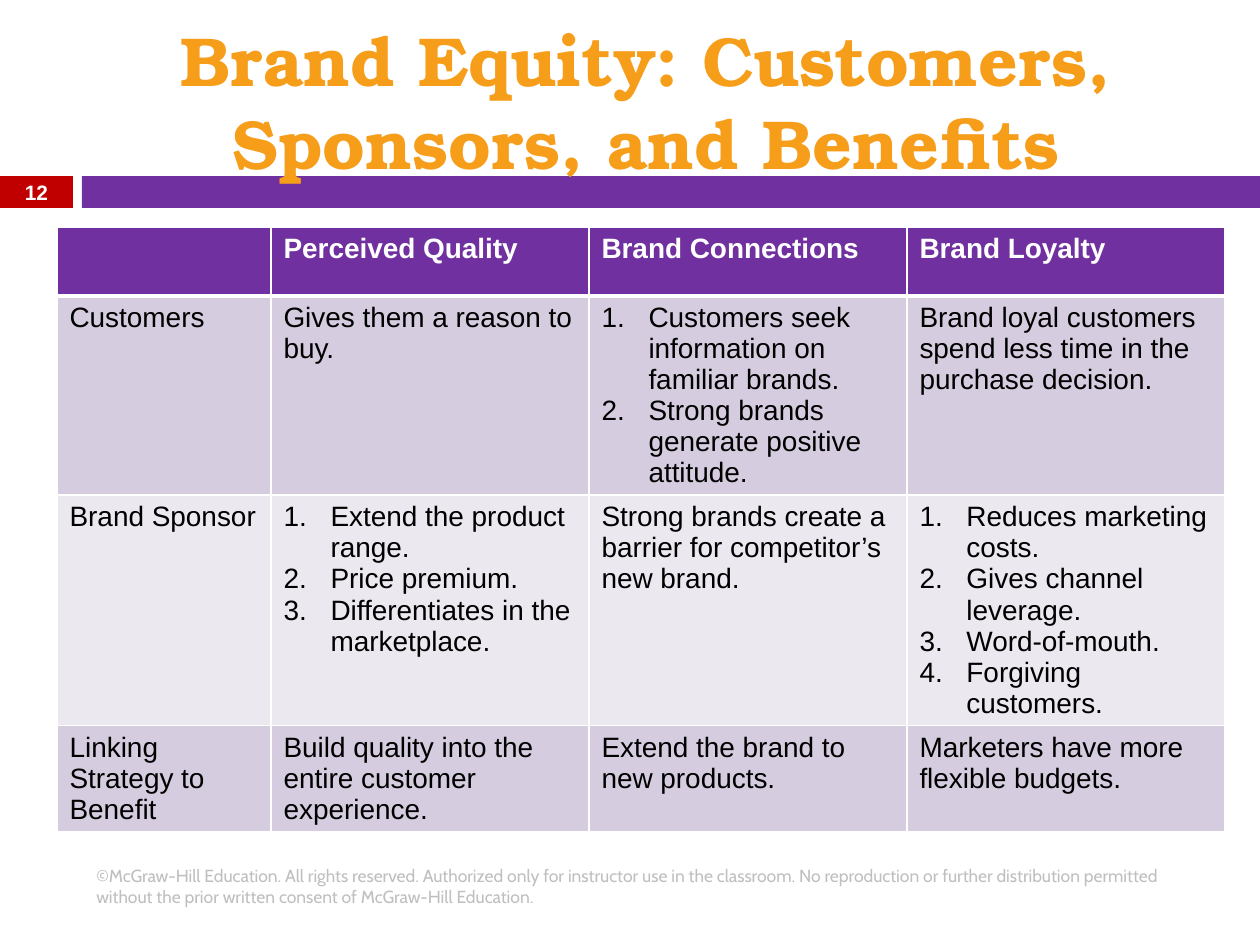
"""Build the brand equity slide: title, number bar, benefit table and footer."""
from dataclasses import dataclass
from typing import Any

import lxml.etree
import pptx
import pptx.dml.color
import pptx.enum.shapes
import pptx.enum.text
import pptx.oxml.ns
import pptx.util

ALIGN = pptx.enum.text.PP_ALIGN
Cell = str | list[str]


@dataclass(frozen=True)
class Font:
    name: str
    size: float
    color: str
    bold: bool = False


@dataclass(frozen=True)
class Theme:
    purple: str = "7030A0"
    red: str = "C00000"
    white: str = "FFFFFF"
    dark: str = "D5CDDF"
    light: str = "EBE8F0"
    title: Font = Font("TeX Gyre Bonum", 39.6, "F69D1A", True)
    head: Font = Font("Arial", 16, "FFFFFF", True)
    body: Font = Font("Arial", 16, "000000")
    page: Font = Font("Arial", 11.9, "FFFFFF", True)
    foot: Font = Font("Cabin", 10, "BFBFBF")


@dataclass(frozen=True)
class Box:
    left: int
    top: int
    width: int
    height: int


@dataclass(frozen=True)
class Label:
    box: Box
    text: str
    font: Font
    align: Any


@dataclass(frozen=True)
class Bar:
    box: Box
    fill: str


THEME = Theme()
INDENT = 47
COLS = [214, 318, 318, 318]
ROWS = [69, 186, 215, 98]
GRID = Box(57, 227, sum(COLS), 612)
PAGE = Box(0, 176, 73, 32)
BARS = [Bar(PAGE, THEME.red), Bar(Box(82, 176, 1178, 32), THEME.purple)]
LABELS = [
    Label(Box(84, 32, 1124, 136), "Brand Equity: Customers, Sponsors, and Benefits",
          THEME.title, ALIGN.CENTER),
    Label(PAGE, "12", THEME.page, ALIGN.CENTER),
    Label(Box(84, 861, 1124, 50),
          "©McGraw-Hill Education. All rights reserved. Authorized only for "
          "instructor use in the classroom. No reproduction or further distribution "
          "permitted without the prior written consent of McGraw-Hill Education.",
          THEME.foot, ALIGN.LEFT),
]
CELLS: list[list[Cell]] = [
    ["", "Perceived Quality", "Brand Connections", "Brand Loyalty"],
    ["Customers",
     "Gives them a reason to buy.",
     ["Customers seek information on familiar brands.",
      "Strong brands generate positive attitude."],
     "Brand loyal customers spend less time in the purchase decision."],
    ["Brand Sponsor",
     ["Extend the product range.", "Price premium.",
      "Differentiates in the marketplace."],
     "Strong brands create a barrier for competitor’s new brand.",
     ["Reduces marketing costs.", "Gives channel leverage.",
      "Word-of-mouth.", "Forgiving customers."]],
    ["Linking Strategy to Benefit",
     "Build quality into the entire customer experience.",
     "Extend the brand to new products.",
     "Marketers have more flexible budgets."],
]


def px(size: int) -> pptx.util.Emu:
    return pptx.util.Emu(round(size * 914400 / 126))


def place(box: Box) -> list[pptx.util.Emu]:
    return [px(side) for side in (box.left, box.top, box.width, box.height)]


def paint(fill: Any, color: str) -> None:
    fill.solid()
    fill.fore_color.rgb = pptx.dml.color.RGBColor.from_string(color)


def add_run(para: Any, text: str, font: Font) -> None:
    run = para.add_run()
    run.text = text
    run.font.name = font.name
    run.font.size = pptx.util.Pt(font.size)
    run.font.bold = font.bold
    run.font.color.rgb = pptx.dml.color.RGBColor.from_string(font.color)


def add_bar(slide: Any, bar: Bar) -> None:
    shape = slide.shapes.add_shape(
        pptx.enum.shapes.MSO_SHAPE.RECTANGLE, *place(bar.box))
    shape.shadow.inherit = False
    paint(shape.fill, bar.fill)
    shape.line.fill.background()


def add_label(slide: Any, label: Label) -> None:
    frame = slide.shapes.add_textbox(*place(label.box)).text_frame
    frame.word_wrap = True
    frame.vertical_anchor = pptx.enum.text.MSO_ANCHOR.MIDDLE
    para = frame.paragraphs[0]
    para.alignment = label.align
    add_run(para, label.text, label.font)


def number(para: Any) -> None:
    props = para._p.get_or_add_pPr()
    props.set("marL", str(px(INDENT)))
    props.set("indent", str(-px(INDENT)))
    lxml.etree.SubElement(props, pptx.oxml.ns.qn("a:buFont"), typeface="+mj-lt")
    lxml.etree.SubElement(
        props, pptx.oxml.ns.qn("a:buAutoNum"), type="arabicPeriod")


def add_edge(cell: Any, side: str, width: int) -> None:
    line = lxml.etree.SubElement(
        cell._tc.get_or_add_tcPr(), pptx.oxml.ns.qn(f"a:ln{side}"),
        w=str(pptx.util.Pt(width)))
    fill = lxml.etree.SubElement(line, pptx.oxml.ns.qn("a:solidFill"))
    lxml.etree.SubElement(fill, pptx.oxml.ns.qn("a:srgbClr"), val=THEME.white)


def fill_cell(cell: Any, item: Cell, row: int) -> None:
    for side in "LRTB":
        thick = (row, side) in ((0, "B"), (1, "T"))
        add_edge(cell, side, 3 if thick else 1)
    tint = THEME.dark if row % 2 else THEME.light
    paint(cell.fill, tint if row else THEME.purple)
    lines = item if isinstance(item, list) else [item]
    frame = cell.text_frame
    for spot, text in enumerate(lines):
        para = frame.add_paragraph() if spot else frame.paragraphs[0]
        if isinstance(item, list):
            number(para)
        if text:
            add_run(para, text, THEME.body if row else THEME.head)


def add_grid(slide: Any) -> None:
    frame = slide.shapes.add_table(len(ROWS), len(COLS), *place(GRID))
    table = frame.table
    for col, width in zip(table.columns, COLS):
        col.width = px(width)
    for row, height in enumerate(ROWS):
        table.rows[row].height = px(height)
        for col, item in enumerate(CELLS[row]):
            fill_cell(table.cell(row, col), item, row)
    frame.height = px(GRID.height)


def main() -> None:
    deck = pptx.Presentation()
    deck.slide_width, deck.slide_height = px(1260), px(945)
    slide = deck.slides.add_slide(deck.slide_layouts[6])
    for bar in BARS:
        add_bar(slide, bar)
    add_grid(slide)
    for label in LABELS:
        add_label(slide, label)
    deck.save("out.pptx")


if __name__ == "__main__":
    main()
